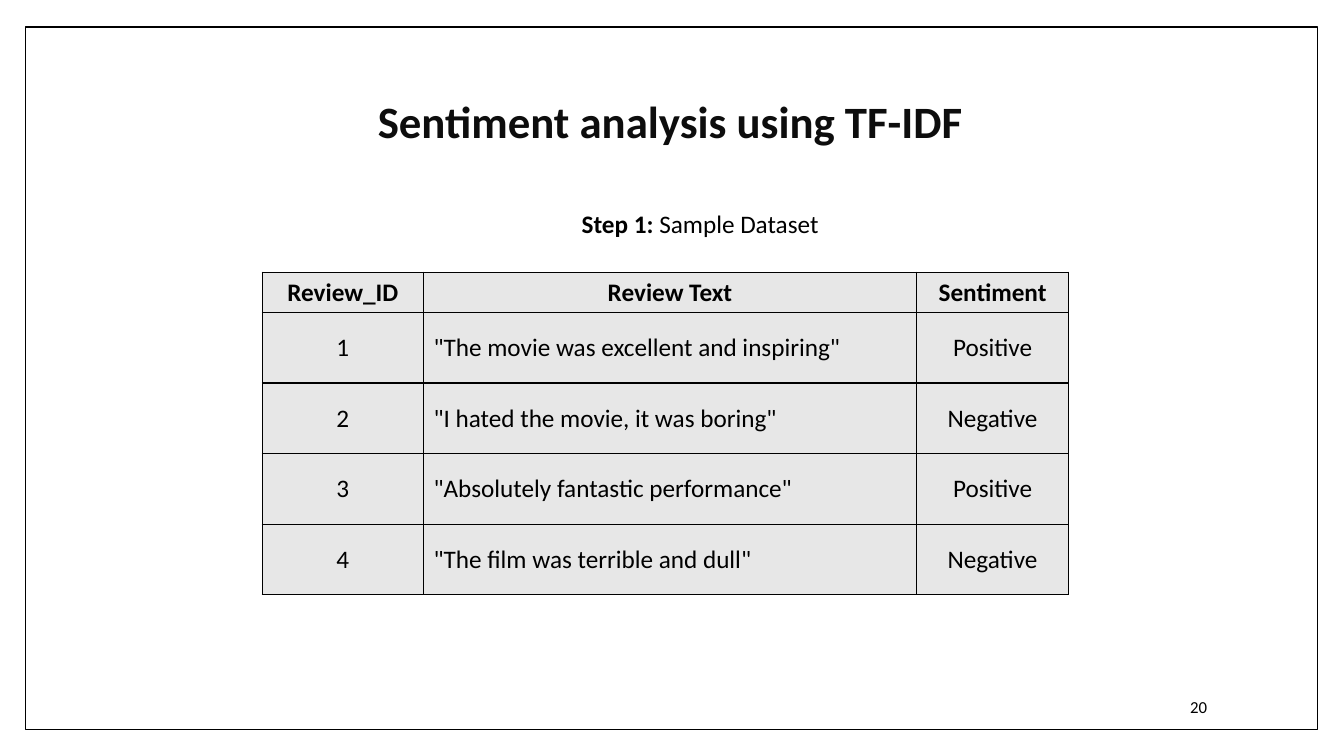
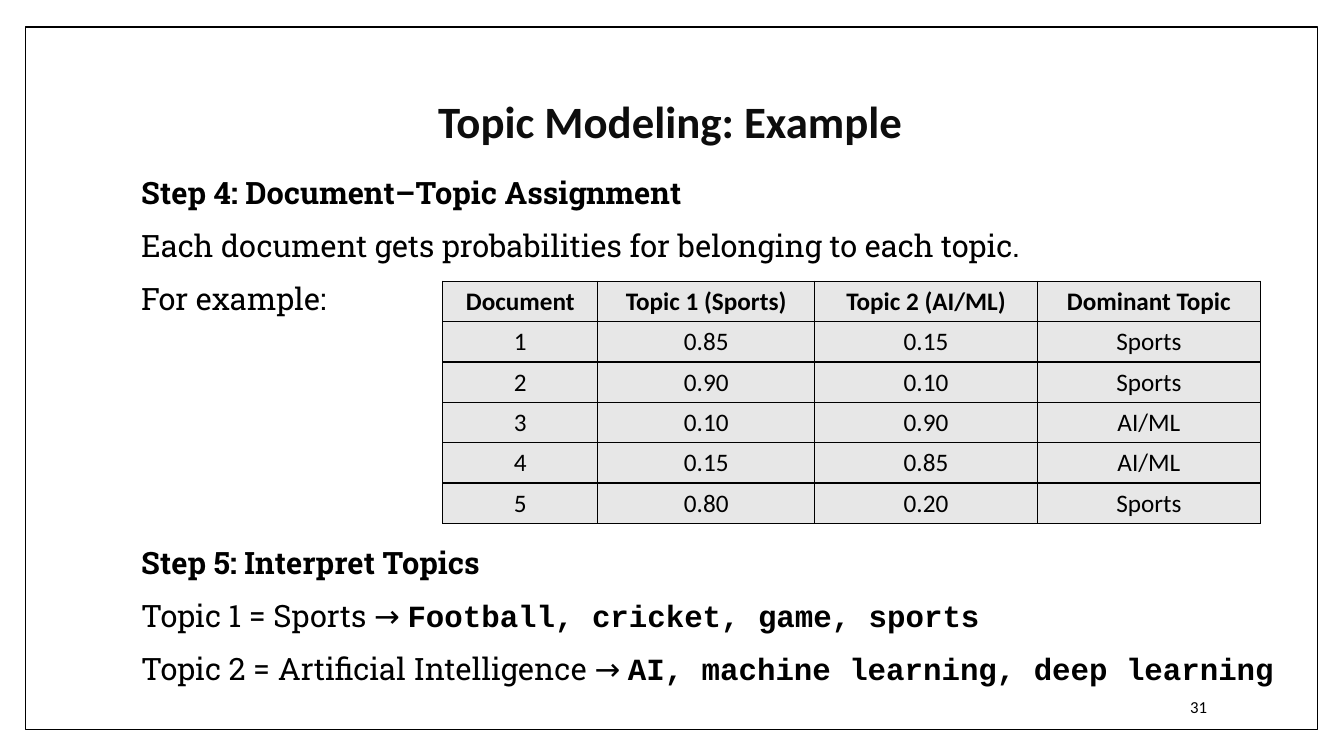
from lxml.etree import SubElement
from pptx import Presentation
from pptx.dml.color import RGBColor
from pptx.enum.shapes import MSO_SHAPE as Shape
from pptx.enum.text import MSO_ANCHOR as Anchor, PP_ALIGN as Align
from pptx.oxml.ns import qn
from pptx.util import Inches, Pt

BLACK = RGBColor(0x00, 0x00, 0x00)
WHITE = RGBColor(0xFF, 0xFF, 0xFF)
TITLE_INK = RGBColor(0x0D, 0x0D, 0x0D)
CELL_GRAY = RGBColor(0xE7, 0xE7, 0xE7)

SANS, SLAB, MONO = "Calibri", "Roboto Slab", "Courier New"


class Lecture:
    """Holds the shared style and the current slide."""

    def __init__(self):
        self.deck = Presentation()
        self.deck.slide_width, self.deck.slide_height = Inches(13.33), Inches(7.5)
        self.page = None

    def add_page(self, title, number):
        self.page = self.deck.slides.add_slide(self.deck.slide_layouts[6])
        # Frame
        frame = self.page.shapes.add_shape(
            Shape.RECTANGLE, Inches(0.25), Inches(0.27), Inches(12.82), Inches(6.97))
        frame.shadow.inherit = False
        frame.fill.solid()
        frame.fill.fore_color.rgb = WHITE
        frame.line.color.rgb = BLACK
        frame.line.width = Pt(1)
        # Title and page number
        self.text((1.25, 0.49, 10.8, 1.48), [[(title, SANS, True)]], 32,
                  color=TITLE_INK, align=Align.CENTER, anchor=Anchor.MIDDLE, leading=0.9)
        self.text((10.2, 6.81, 1.87, 0.4), [[(number, SANS, False)]], 12,
                  align=Align.RIGHT, anchor=Anchor.MIDDLE)

    def add_spans(self, para, spans, size, color=BLACK):
        for text, font, bold in spans:
            span = para.add_run()
            span.text = text
            span.font.name = font
            span.font.size = Pt(size)
            span.font.bold = bold
            span.font.color.rgb = color

    def text(self, area, paragraphs, size, color=BLACK, align=Align.LEFT,
             anchor=Anchor.TOP, leading=1.0, gap=0, inset=0.1, wrap=True):
        box = self.page.shapes.add_textbox(*map(Inches, area))
        frame = box.text_frame
        frame.word_wrap = wrap
        frame.vertical_anchor = anchor
        frame.margin_left = Inches(inset)
        for index, spans in enumerate(paragraphs):
            para = frame.add_paragraph() if index else frame.paragraphs[0]
            para.alignment = align
            para.line_spacing = leading
            if index:
                para.space_before = Pt(gap)
            self.add_spans(para, spans, size, color)

    def body(self, top, height, paragraphs):
        self.text((1.25, top, 11.55, height), paragraphs, 22,
                  align=Align.JUSTIFY, leading=0.9, gap=14, inset=0.15)

    def table(self, left, top, widths, heights, rows, left_columns=()):
        table = self.page.shapes.add_table(
            len(rows), len(widths), Inches(left), Inches(top),
            Inches(sum(widths)), Inches(sum(heights))).table
        table.horz_banding = False
        for column, width in zip(table.columns, widths):
            column.width = Inches(width)
        for r, (row, height) in enumerate(zip(rows, heights)):
            table.rows[r].height = Inches(height)
            for c, value in enumerate(row):
                cell = table.cell(r, c)
                self.border(cell)
                cell.fill.solid()
                cell.fill.fore_color.rgb = CELL_GRAY
                cell.vertical_anchor = Anchor.MIDDLE
                para = cell.text_frame.paragraphs[0]
                at_left = r > 0 and c in left_columns
                para.alignment = Align.LEFT if at_left else Align.CENTER
                self.add_spans(para, [(value, SANS, r == 0)], 18)

    def border(self, cell):
        properties = cell._tc.get_or_add_tcPr()
        for side in ("a:lnL", "a:lnR", "a:lnT", "a:lnB"):
            line = SubElement(properties, qn(side), w=str(Pt(1)))
            fill = SubElement(line, qn("a:solidFill"))
            SubElement(fill, qn("a:srgbClr"), val=str(BLACK))


def main():
    lecture = Lecture()

    # Sentiment analysis
    lecture.add_page("Sentiment analysis using TF-IDF", "20")
    lecture.table(2.6, 2.7, [1.6, 4.89, 1.51], [0.4] + [0.7] * 4, [
        ("Review_ID", "Review Text", "Sentiment"),
        ("1", '"The movie was excellent and inspiring"', "Positive"),
        ("2", '"I hated the movie, it was boring"', "Negative"),
        ("3", '"Absolutely fantastic performance"', "Positive"),
        ("4", '"The film was terrible and dull"', "Negative"),
    ], left_columns=(1,))
    lecture.text((5.67, 2.02, 2.61, 0.4),
                 [[("Step 1: ", SANS, True), ("Sample Dataset", SANS, False)]],
                 18, wrap=False)

    # Topic modeling
    lecture.add_page("Topic Modeling: Example", "31")
    lecture.body(1.72, 1.6, [
        [("Step 4: Document–Topic Assignment", SLAB, True)],
        [("Each document gets probabilities for belonging to each topic.", SLAB, False)],
        [("For example:", SLAB, False)],
    ])
    lecture.body(5.39, 1.5, [
        [("Step 5: Interpret Topics", SLAB, True)],
        [("Topic 1 = Sports → ", SLAB, False),
         ("Football, cricket, game, sports", MONO, True)],
        [("Topic 2 = Artificial Intelligence → ", SLAB, False),
         ("AI, machine learning, deep learning", MONO, True)],
    ])
    lecture.table(4.39, 2.79, [1.54, 2.15, 2.21, 2.21], [0.4] * 6, [
        ("Document", "Topic 1 (Sports)", "Topic 2 (AI/ML)", "Dominant Topic"),
        ("1", "0.85", "0.15", "Sports"),
        ("2", "0.90", "0.10", "Sports"),
        ("3", "0.10", "0.90", "AI/ML"),
        ("4", "0.15", "0.85", "AI/ML"),
        ("5", "0.80", "0.20", "Sports"),
    ])

    lecture.deck.save("out.pptx")


if __name__ == "__main__":
    main()
